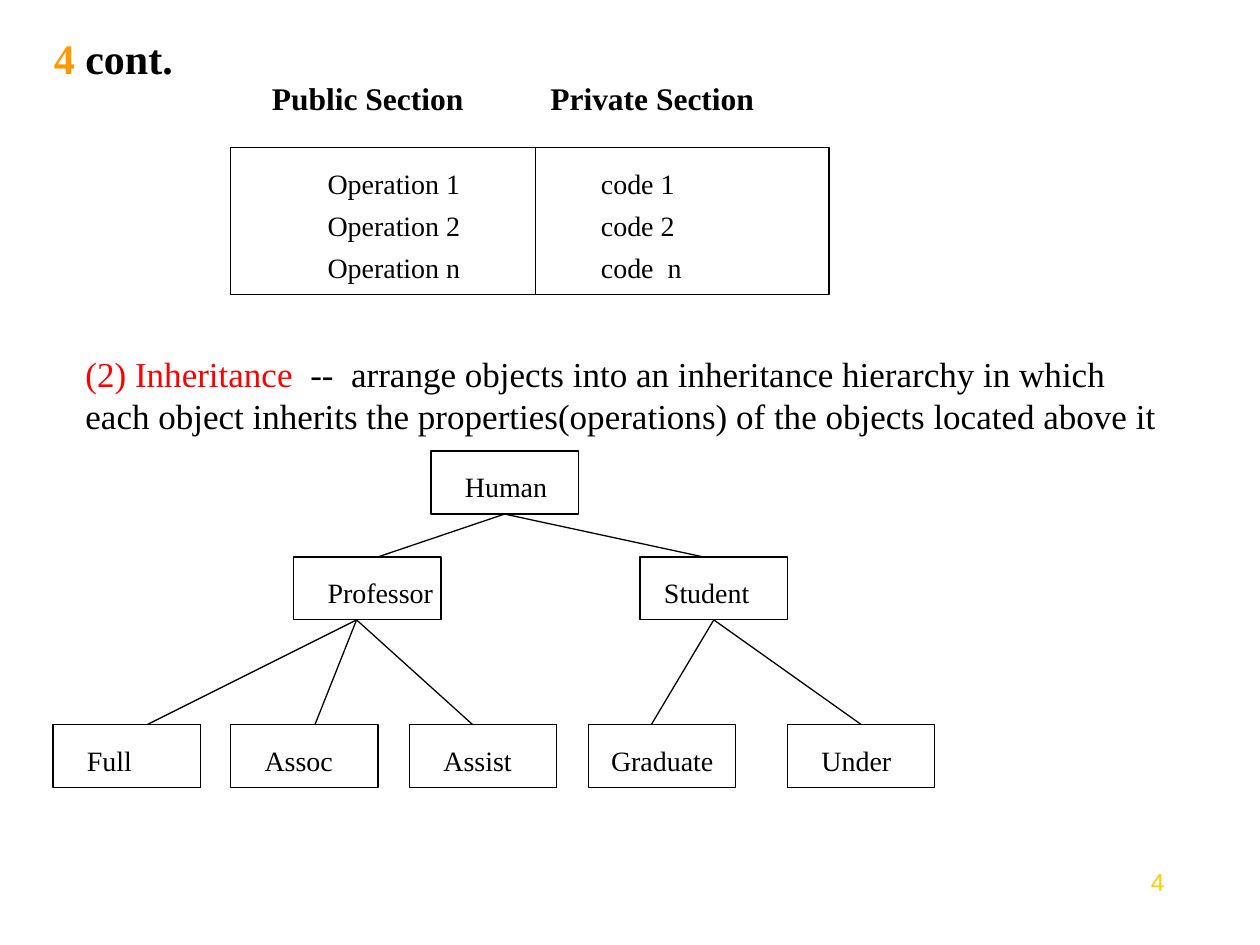
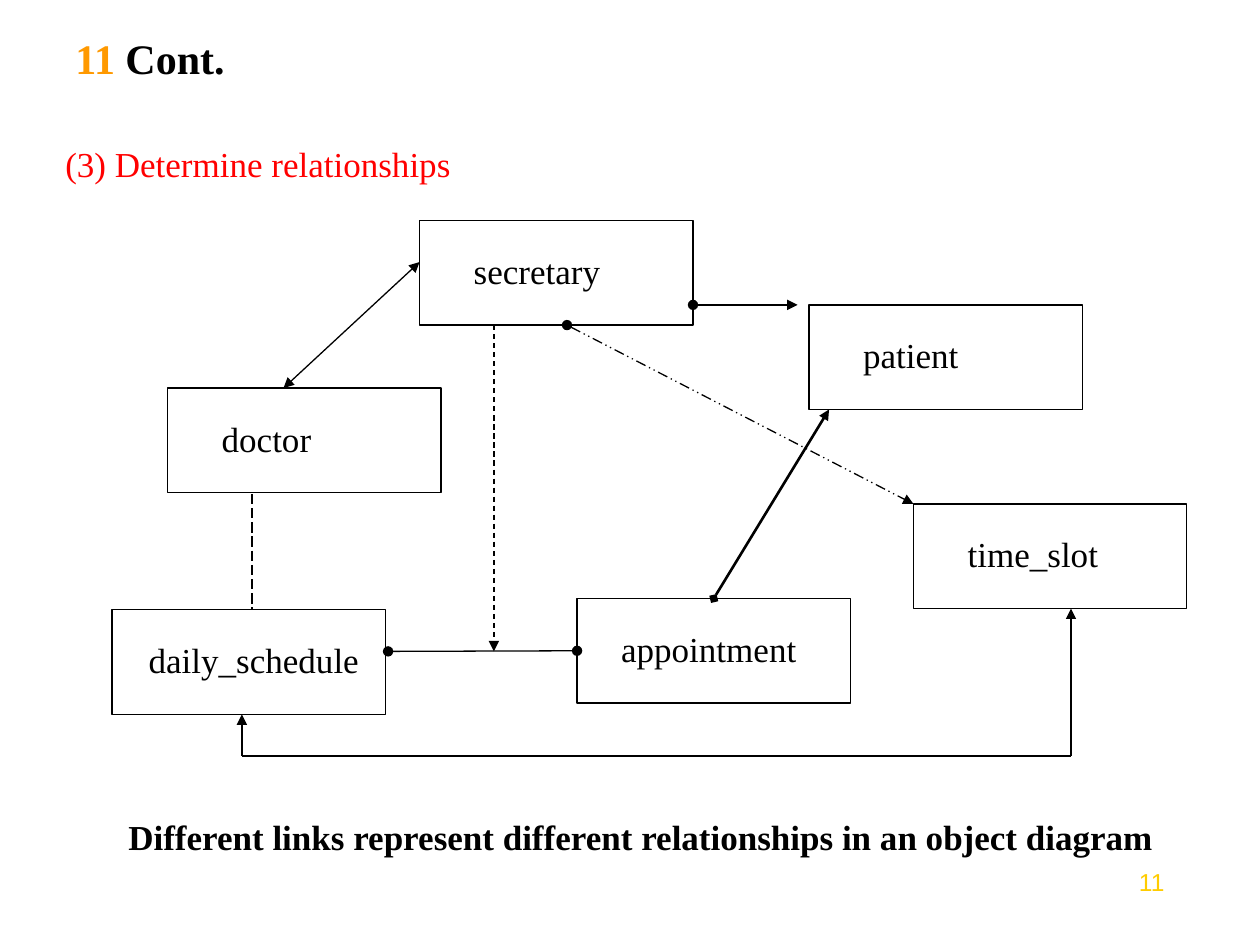
from dataclasses import dataclass
from typing import Optional

from lxml.etree import SubElement
from pptx import Presentation
from pptx.dml.color import RGBColor
from pptx.enum.dml import MSO_LINE
from pptx.enum.shapes import MSO_CONNECTOR, MSO_SHAPE
from pptx.enum.text import MSO_ANCHOR, PP_ALIGN
from pptx.oxml.ns import qn
from pptx.util import Inches, Pt

COLORS = {"ink": "000000", "number": "FF9900", "topic": "FF0000", "page": "FFCC00"}
SERIF = "Times New Roman"
NEAR = Inches(0.02)


@dataclass
class Run:
    text: str
    color: str = "ink"


@dataclass
class Box:
    lines: tuple
    left: float
    top: float
    indent: float
    trim: float = 0


@dataclass
class Style:
    """What the boxes of one diagram have in common."""
    width: float
    height: float
    inset: float
    size: int


@dataclass
class Link:
    start: tuple
    end: tuple
    head: str = ""
    tail: str = ""
    dash: Optional[MSO_LINE] = None
    weight: float = 0.75


CELL = Style(2.42, 1.17, 0.15, 16)
NODE = Style(1.17, 0.5, 0.15, 16)
ENTITY = Style(2.17, 0.83, 0.23, 20)

CELLS = [
    Box(("Operation 1", "Operation 2", "Operation n"), 1.83, 1.17, 0.77),
    Box(("code 1", "code 2", "code  n"), 4.25, 1.17, 0.52, trim=0.09),
]
NODES = [
    Box(("Human",), 3.42, 3.58, 0.27),
    Box(("Professor",), 2.33, 4.42, 0.27),
    Box(("Student",), 5.08, 4.42, 0.19),
    Box(("Full",), 0.42, 5.75, 0.27),
    Box(("Assoc",), 1.83, 5.75, 0.27),
    Box(("Assist",), 3.25, 5.75, 0.27),
    Box(("Graduate",), 4.67, 5.75, 0.18),
    Box(("Under",), 6.25, 5.75, 0.27),
]
BRANCHES = {
    (4, 4.08): [(3, 4.42), (5.58, 4.42)],
    (2.83, 4.92): [(1.17, 5.75), (2.5, 5.75), (3.75, 5.75)],
    (5.67, 4.92): [(5.17, 5.75), (6.83, 5.75)],
}
ENTITIES = [
    Box(("secretary",), 3.33, 1.75, 0.43),
    Box(("doctor",), 1.33, 3.08, 0.43),
    Box(("daily_schedule",), 0.89, 4.84, 0.29),
    Box(("appointment",), 4.58, 4.75, 0.35),
    Box(("patient",), 6.42, 2.42, 0.43),
    Box(("time_slot",), 7.25, 4, 0.43),
]
LINKS = [
    Link((3.33, 2.08), (2.25, 3.08), "triangle", "triangle"),
    Link((2, 3.92), (2, 4.83), dash=MSO_LINE.LONG_DASH),
    Link((4.58, 5.17), (3.08, 5.17), "oval", "oval"),
    Link((5.5, 2.42), (6.33, 2.42), "oval", "triangle"),
    Link((4.5, 2.58), (7.25, 4), "oval", "triangle", MSO_LINE.DASH_DOT_DOT),
    Link((5.67, 4.75), (6.58, 3.25), "diamond", "triangle", weight=1.5),
    Link((1.92, 5.67), (1.92, 6), head="triangle"),
    Link((1.92, 6), (8.5, 6)),
    Link((8.5, 6), (8.5, 4.83), tail="triangle"),
    Link((3.92, 2.58), (3.92, 5.17), tail="triangle", dash=MSO_LINE.DASH),
]


def write(frame, *lines, size=20, bold=False, font=SERIF, gap=0,
          align=PP_ALIGN.LEFT, anchor=MSO_ANCHOR.TOP) -> None:
    """Fill a frame; each line is a string or a list of runs."""
    frame.word_wrap = True
    frame.vertical_anchor = anchor
    for index, line in enumerate(lines):
        para = frame.add_paragraph() if index else frame.paragraphs[0]
        para.alignment = align
        if index:
            para.space_before = Pt(gap)
        for part in [Run(line)] if isinstance(line, str) else line:
            run = para.add_run()
            run.text = part.text
            run.font.name = font
            run.font.size = Pt(size)
            run.font.bold = bold
            run.font.color.rgb = RGBColor.from_string(COLORS[part.color])


def place(slide, left: float, top: float, width: float, height: float, *lines, **style) -> None:
    area = map(Inches, (left, top, width, height))
    write(slide.shapes.add_textbox(*area).text_frame, *lines, **style)


def draw_box(slide, box: Box, style: Style):
    area = map(Inches, (box.left, box.top, style.width - box.trim, style.height))
    shape = slide.shapes.add_shape(MSO_SHAPE.RECTANGLE, *area)
    shape.shadow.inherit = False
    shape.fill.background()
    shape.line.color.rgb = RGBColor.from_string(COLORS["ink"])
    shape.line.width = Pt(0.75)
    frame = shape.text_frame
    frame.margin_left, frame.margin_top = Inches(box.indent), Inches(style.inset)
    frame.margin_right = frame.margin_bottom = 0
    write(frame, *box.lines, size=style.size, gap=5)
    return shape


def find_side(shapes: list, point: tuple):
    """Return the shape and side whose middle lies at the point, if any."""
    x, y = map(Inches, point)
    for shape in shapes:
        left, top, wide, high = shape.left, shape.top, shape.width, shape.height
        sides = [(left + wide // 2, top), (left, top + high // 2),
                 (left + wide // 2, top + high), (left + wide, top + high // 2)]
        for side, (mid_x, mid_y) in enumerate(sides):
            if abs(mid_x - x) < NEAR and abs(mid_y - y) < NEAR:
                return shape, side
    return None


def draw_link(slide, link: Link, shapes: list) -> None:
    ends = map(Inches, link.start + link.end)
    wire = slide.shapes.add_connector(MSO_CONNECTOR.STRAIGHT, *ends)
    for point, join in ((link.start, wire.begin_connect), (link.end, wire.end_connect)):
        found = find_side(shapes, point)
        if found:
            join(*found)
    wire.line.color.rgb = RGBColor.from_string(COLORS["ink"])
    wire.line.width = Pt(link.weight)
    if link.dash is not None:
        wire.line.dash_style = link.dash
    props = wire._element.spPr
    outline = props.find(qn("a:ln"))
    for tag, kind in (("a:headEnd", link.head), ("a:tailEnd", link.tail)):
        if kind:
            SubElement(outline, qn(tag), type=kind)
    SubElement(props, qn("a:effectLst"))


def draw_graph(slide, boxes: list, style: Style, links: list) -> None:
    shapes = [draw_box(slide, box, style) for box in boxes]
    for link in links:
        draw_link(slide, link, shapes)


def start_slide(deck, number: str, title: str, left: float):
    """Add a slide with its title and page number."""
    slide = deck.slides.add_slide(deck.slide_layouts[6])
    place(slide, left, 0.17, 8.5, 0.58, [Run(number, "number"), Run(title)],
          size=24, bold=True, anchor=MSO_ANCHOR.MIDDLE)
    place(slide, 8.67, 6.83, 0.67, 0.52, [Run(number, "page")],
          size=14, font="Arial", align=PP_ALIGN.RIGHT)
    return slide


def add_tree(deck) -> None:
    slide = start_slide(deck, "4", " cont.", 0.33)
    for left, head in ((2.06, "Public Section"), (4.27, "Private Section")):
        place(slide, left, 0.58, 2.2, 0.4, head, size=18, bold=True)
    draw_graph(slide, CELLS, CELL, [])
    place(slide, 0.58, 2.75, 8.75, 0.77, [
        Run("(2) Inheritance", "topic"),
        Run("  --  arrange objects into an inheritance hierarchy in which each object "
            "inherits the properties(operations) of the objects located above it")])
    links = [Link(start, end) for start, ends in BRANCHES.items() for end in ends]
    draw_graph(slide, NODES, NODE, links)


def add_relations(deck) -> None:
    slide = start_slide(deck, "11", " Cont.", 0.5)
    place(slide, 0.42, 1.08, 9.33, 0.44, [Run("(3) Determine relationships", "topic")])
    draw_graph(slide, ENTITIES, ENTITY, LINKS)
    place(slide, 0.92, 6.42, 8.83, 0.44,
          "Different links represent different relationships in an object diagram", bold=True)


def main() -> None:
    deck = Presentation()
    deck.slide_width, deck.slide_height = Inches(10), Inches(7.5)
    add_tree(deck)
    add_relations(deck)
    deck.save("out.pptx")


if __name__ == "__main__":
    main()
